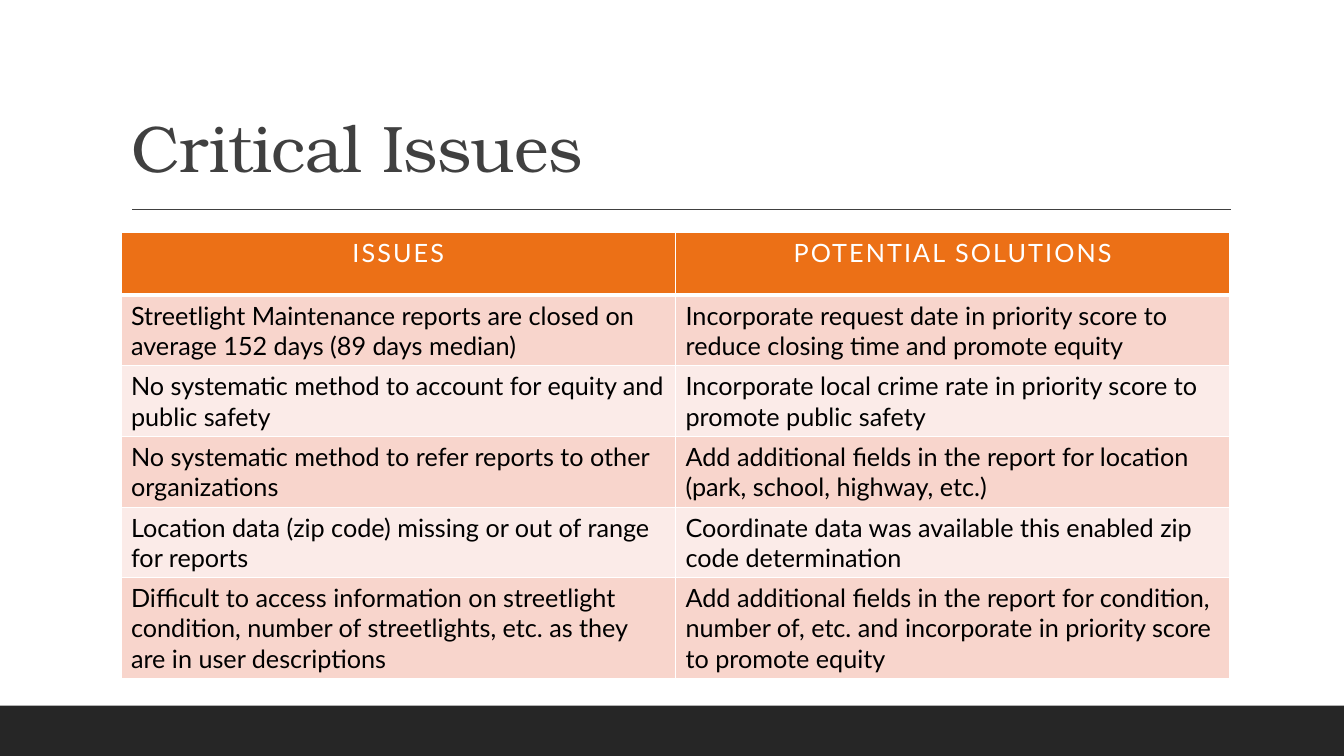
from typing import NamedTuple

from lxml.etree import SubElement
from pptx import Presentation
from pptx.dml.color import RGBColor
from pptx.enum.shapes import MSO_CONNECTOR, MSO_SHAPE
from pptx.enum.text import MSO_ANCHOR, MSO_AUTO_SIZE, PP_ALIGN
from pptx.oxml.ns import qn
from pptx.slide import Slide
from pptx.table import _Cell
from pptx.text.text import _Paragraph
from pptx.util import Emu, Pt

EMU_PER_PX = 9144  # 100 px to the inch
COLORS = {
    "white": "FFFFFF",
    "black": "000000",
    "charcoal": "404040",
    "footer": "262626",
    "header": "EC7016",
    "odd_row": "F8D5CC",
    "even_row": "FBEBE8",
}
TITLE_FONT = "TeX Gyre Bonum"
BODY_FONT = "Lato"


class TextStyle(NamedTuple):
    font: str
    size: int
    color: str
    spacing: int  # hundredths of a point
    alignment: PP_ALIGN = PP_ALIGN.LEFT


class IssueRow(NamedTuple):
    issue: str
    solution: str
    height: int


TITLE_STYLE = TextStyle(TITLE_FONT, 47, "charcoal", -50)
HEADER_STYLE = TextStyle(BODY_FONT, 18, "white", 150, PP_ALIGN.CENTER)
BODY_STYLE = TextStyle(BODY_FONT, 18, "black", 0)

ROWS = [
    IssueRow("ISSUES", "POTENTIAL SOLUTIONS", 62),
    IssueRow(
        "Streetlight Maintenance reports are closed on average 152 days (89 days median)",
        "Incorporate request date in priority score to reduce closing time and promote equity",
        65,
    ),
    IssueRow(
        "No systematic method to account for equity and public safety",
        "Incorporate local crime rate in priority score to promote public safety",
        65,
    ),
    IssueRow(
        "No systematic method to refer reports to other organizations",
        "Add additional fields in the report for location (park, school, highway, etc.)",
        65,
    ),
    IssueRow(
        "Location data (zip code) missing or out of range for reports",
        "Coordinate data was available this enabled zip code determination",
        62,
    ),
    IssueRow(
        "Difficult to access information on streetlight condition, number of streetlights, "
        "etc. as they are in user descriptions",
        "Add additional fields in the report for condition, number of, etc. "
        "and incorporate in priority score to promote equity",
        93,
    ),
]


def px(length: int) -> Emu:
    return Emu(length * EMU_PER_PX)


def color(name: str) -> RGBColor:
    return RGBColor.from_string(COLORS[name])


def format_paragraph(paragraph: _Paragraph, style: TextStyle) -> None:
    paragraph.alignment = style.alignment
    for run in paragraph.runs:
        run.font.name = style.font
        run.font.size = Pt(style.size)
        run.font.bold = False
        run.font.color.rgb = color(style.color)
        run.font._element.set("spc", str(style.spacing))


def add_footer_band(slide: Slide) -> None:
    band = slide.shapes.add_shape(MSO_SHAPE.RECTANGLE, 0, px(700), px(1333), px(50))
    band.shadow.inherit = False
    band.fill.solid()
    band.fill.fore_color.rgb = color("footer")
    band.line.fill.background()


def add_title_rule(slide: Slide) -> None:
    rule = slide.shapes.add_connector(
        MSO_CONNECTOR.STRAIGHT, px(131), px(208), px(1221), px(208)
    )
    rule.line.color.rgb = color("charcoal")
    rule.line.width = Pt(1)
    SubElement(rule._element.spPr, qn("a:effectLst"))


def set_title(slide: Slide, text: str) -> None:
    title = slide.shapes.title
    title.left, title.top, title.width, title.height = px(120), px(31), px(1100), px(159)
    frame = title.text_frame
    frame.text = text
    frame.auto_size = MSO_AUTO_SIZE.NONE
    frame.vertical_anchor = MSO_ANCHOR.BOTTOM
    frame.paragraphs[0].line_spacing = 0.9
    format_paragraph(frame.paragraphs[0], TITLE_STYLE)


def add_borders(cell: _Cell, bottom_width: int) -> None:
    properties = cell._tc.get_or_add_tcPr()
    widths = {"lnL": 1, "lnR": 1, "lnT": 1, "lnB": bottom_width}
    for side, width in widths.items():
        border = SubElement(properties, qn(f"a:{side}"), w=str(Pt(width)))
        fill = SubElement(border, qn("a:solidFill"))
        SubElement(fill, qn("a:srgbClr"), val=COLORS["white"])


def add_issue_table(slide: Slide, rows: list[IssueRow]) -> None:
    total_height = sum(row.height for row in rows)
    table = slide.shapes.add_table(
        len(rows), 2, px(120), px(231), px(1100), px(total_height)
    ).table
    for row_index, row in enumerate(rows):
        table.rows[row_index].height = px(row.height)
        is_header = row_index == 0
        if is_header:
            fill_name = "header"
        else:
            fill_name = "odd_row" if row_index % 2 else "even_row"
        for column_index, text in enumerate((row.issue, row.solution)):
            cell = table.cell(row_index, column_index)
            cell.text_frame.text = text
            format_paragraph(
                cell.text_frame.paragraphs[0], HEADER_STYLE if is_header else BODY_STYLE
            )
            # The rule below the header also belongs to the first body row.
            add_borders(cell, bottom_width=3 if is_header else 1)
            if row_index == 1:
                cell._tc.tcPr.find(qn("a:lnT")).set("w", str(Pt(3)))
            cell.fill.solid()
            cell.fill.fore_color.rgb = color(fill_name)


def main() -> None:
    presentation = Presentation()
    presentation.slide_width, presentation.slide_height = px(1333), px(750)
    title_only = presentation.slide_layouts.get_by_name("Title Only")
    slide = presentation.slides.add_slide(title_only)
    add_footer_band(slide)
    add_title_rule(slide)
    set_title(slide, "Critical Issues")
    add_issue_table(slide, ROWS)
    presentation.save("out.pptx")


if __name__ == "__main__":
    main()
